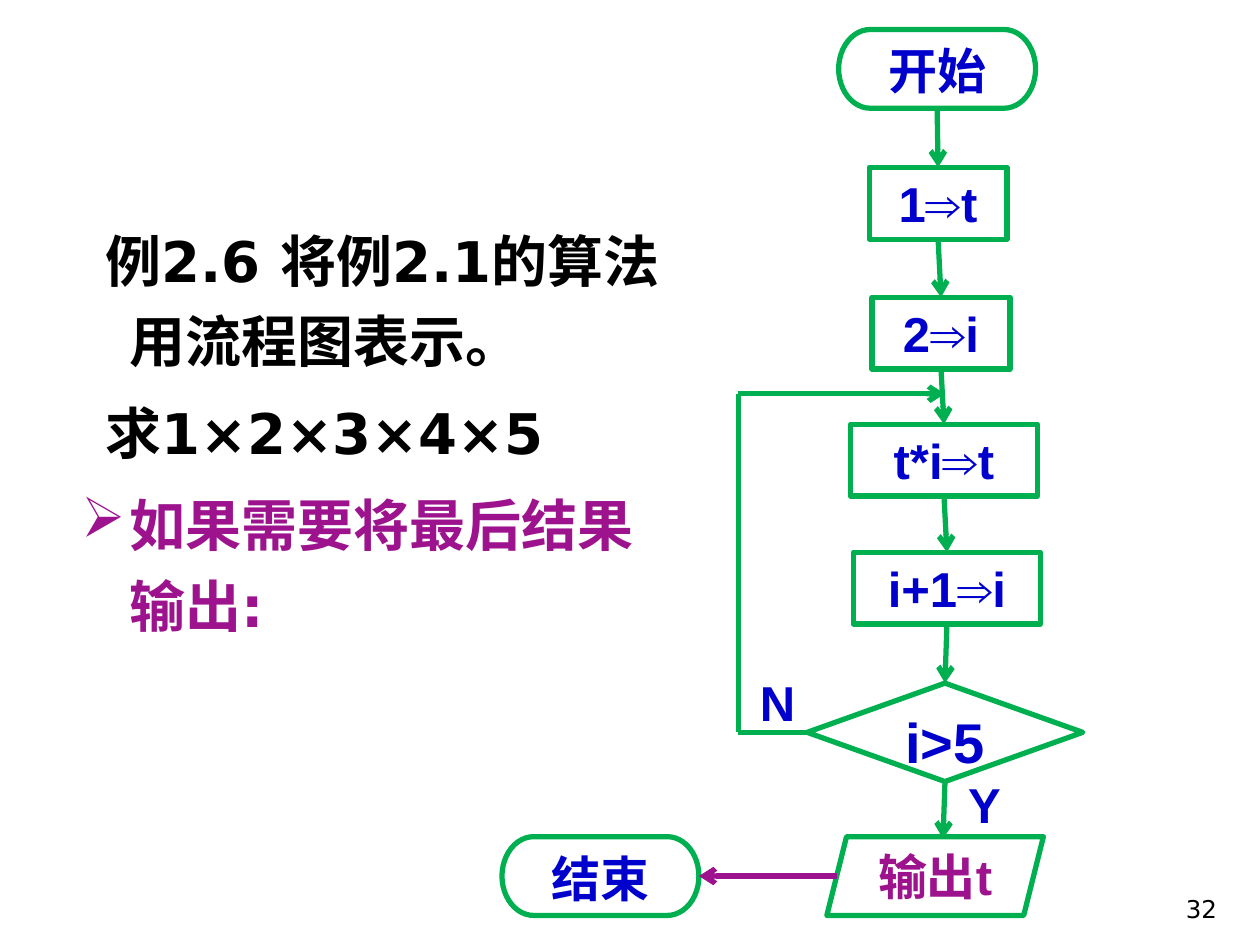
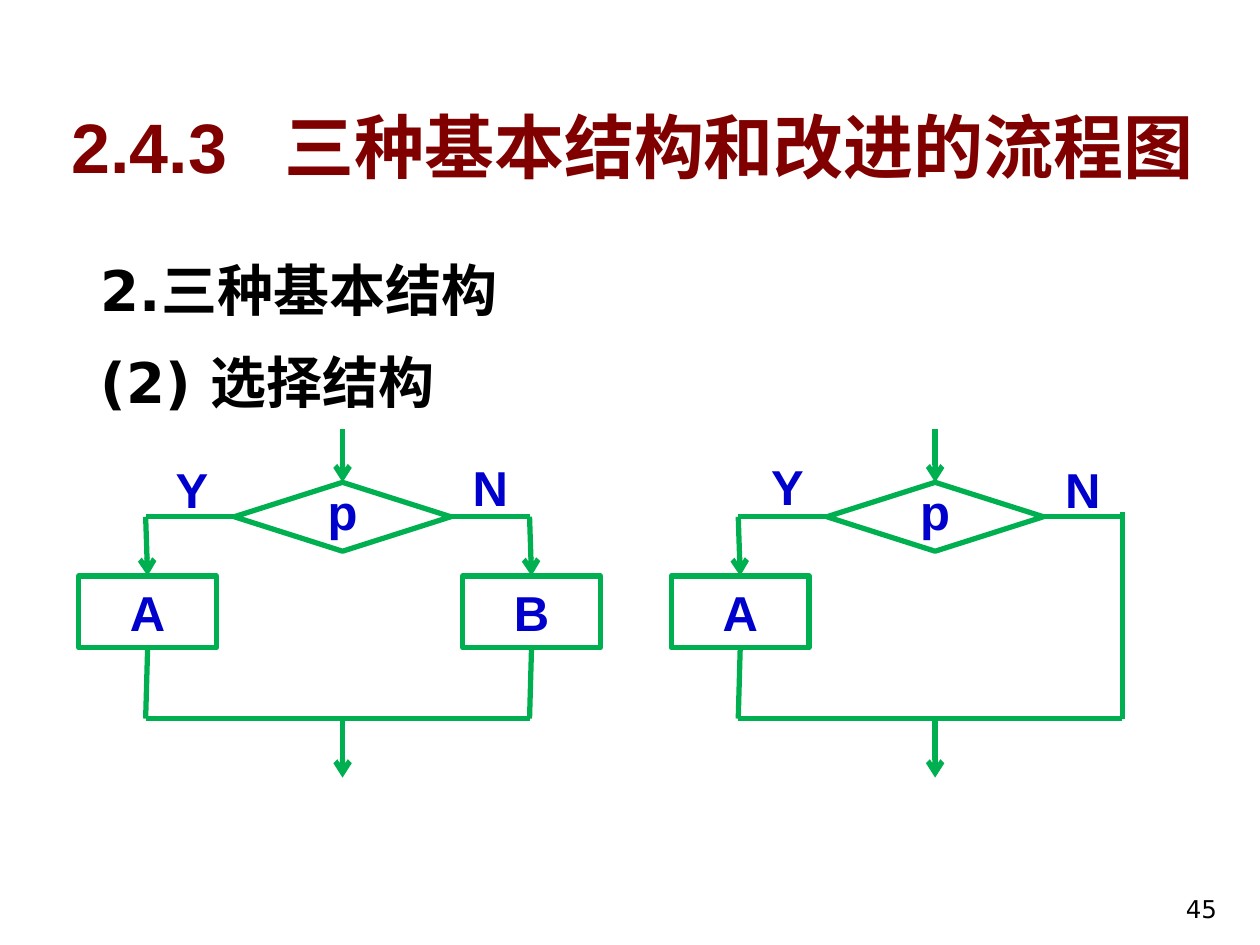
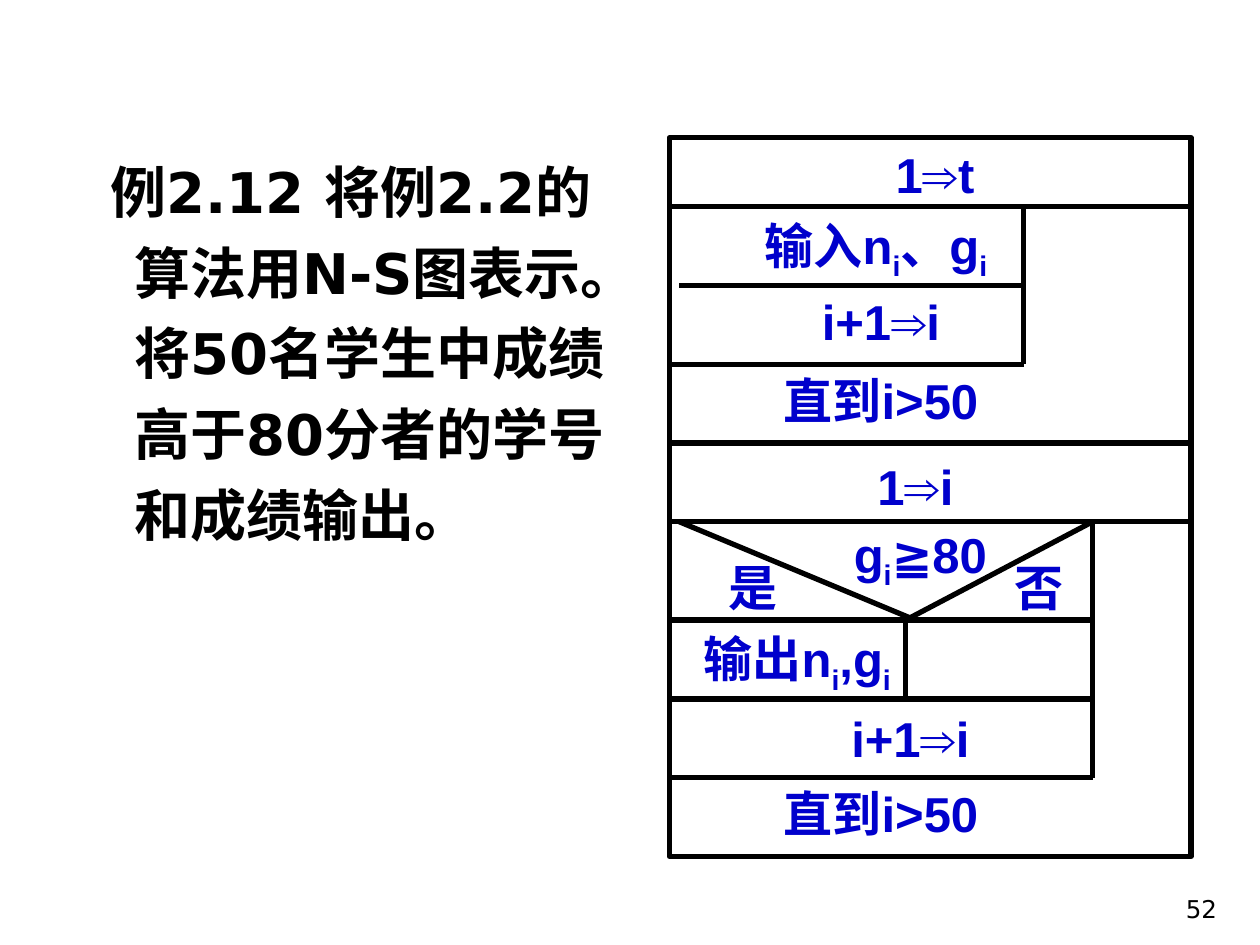
"""Build three slides on flowcharts, basic structures and N-S diagrams."""
from typing import NamedTuple, Optional

from lxml.etree import SubElement
from pptx import Presentation
from pptx.dml.color import RGBColor
from pptx.enum.shapes import MSO_CONNECTOR, MSO_SHAPE
from pptx.enum.text import MSO_ANCHOR, PP_ALIGN
from pptx.oxml import parse_xml
from pptx.oxml.ns import nsdecls, qn
from pptx.util import Inches, Pt

CELL = 10 / 128
GREEN, BLUE, PURPLE, MAROON = "00B050", "0000CC", "9D138D", "800000"
BLACK, WHITE = "000000", "FFFFFF"
LABEL = {"size": Pt(28), "bold": True, "name": "Arial"}
CONDITION = {**LABEL, "size": Pt(32)}
TITLE = {**LABEL, "size": Pt(40)}
BODY = {"size": Pt(32), "bold": True, "name": "DejaVu Sans"}
FOOTER = {"size": Pt(14), "bold": False, "name": "DejaVu Sans"}
NO_INSETS = {"margin_left": 0, "margin_top": 0, "margin_right": 0, "margin_bottom": 0}
TOP, LEFT, BOTTOM, RIGHT = range(4)
ROW = 7.3


class Area(NamedTuple):
    """A rectangle in grid columns and rows."""
    left: float
    top: float
    width: float
    height: float = ROW


class Node(NamedTuple):
    """A flowchart symbol with its text."""
    kind: MSO_SHAPE
    area: Area
    text: str = ""
    color: str = BLUE
    font: dict = LABEL


class Segment(NamedTuple):
    """A straight line between two grid points."""
    x1: float
    y1: float
    x2: float
    y2: float
    arrow: bool = False
    color: str = GREEN


class Label(NamedTuple):
    """A centred caption."""
    text: str
    left: float
    top: float
    width: float


class BodyLine(NamedTuple):
    """A body paragraph with its first-line indent in inches."""
    text: str
    indent: float = -0.38
    color: str = BLACK
    bullet: Optional[str] = None


class Branch(NamedTuple):
    """A selection structure placed at a column offset."""
    offset: float
    yes: tuple
    no: tuple
    second_box: bool


def rgb(color: str) -> RGBColor:
    """Turn a hex string into a colour."""
    return RGBColor.from_string(color)


def grid(*cells: float) -> list:
    """Turn grid cells into lengths."""
    return [Inches(cell * CELL) for cell in cells]


def assign(target, values: dict) -> None:
    """Set every named attribute of the target."""
    for name, value in values.items():
        setattr(target, name, value)


def add_run(paragraph, text: str, font: dict, color: str, subscript: bool = False):
    """Append a formatted run."""
    run = paragraph.add_run()
    run.text = text
    assign(run.font, font)
    run.font.color.rgb = rgb(color)
    if subscript:
        run._r.get_or_add_rPr().set("baseline", "-25000")
    return run


def write(paragraph, text: str, font: dict, color: str) -> None:
    """Write text in which an underscore lowers the next character."""
    first, *others = text.split("_")
    add_run(paragraph, first, font, color)
    for part in others:
        add_run(paragraph, part[0], font, color, subscript=True)
        if part[1:]:
            add_run(paragraph, part[1:], font, color)


def add_text(slide, area: Area):
    """Add a wrapping text box and return its frame."""
    frame = slide.shapes.add_textbox(*grid(*area)).text_frame
    frame.word_wrap = True
    return frame


def add_label(slide, label: Label) -> None:
    """Add a centred blue caption."""
    paragraph = add_text(slide, Area(label.left, label.top, label.width)).paragraphs[0]
    paragraph.alignment = PP_ALIGN.CENTER
    write(paragraph, label.text, LABEL, BLUE)


def add_node(slide, node: Node, line: Optional[str] = GREEN, fill: Optional[str] = None):
    """Add a symbol with optional outline and fill."""
    shape = slide.shapes.add_shape(node.kind, *grid(*node.area))
    shape.shadow.inherit = False
    if fill:
        shape.fill.solid()
        shape.fill.fore_color.rgb = rgb(fill)
    else:
        shape.fill.background()
    if line:
        shape.line.color.rgb = rgb(line)
        shape.line.width = Pt(3)
    else:
        shape.line.fill.background()
    if node.text:
        frame = shape.text_frame
        frame.vertical_anchor = MSO_ANCHOR.TOP
        frame.word_wrap = node.kind == MSO_SHAPE.RECTANGLE
        if not frame.word_wrap:
            assign(frame, NO_INSETS)
        paragraph = frame.paragraphs[0]
        paragraph.alignment = PP_ALIGN.CENTER
        write(paragraph, node.text, node.font, node.color)
    return shape


def add_segment(slide, segment: Segment, begin=None, end=None) -> None:
    """Add a line, joined to (shape, side) pairs where given."""
    points = grid(segment.x1, segment.y1, segment.x2, segment.y2)
    connector = slide.shapes.add_connector(MSO_CONNECTOR.STRAIGHT, *points)
    connector.line.color.rgb = rgb(segment.color)
    connector.line.width = Pt(3)
    if segment.arrow:
        SubElement(connector.line._get_or_add_ln(), qn("a:tailEnd"), type="arrow")
    SubElement(connector._element.spPr, qn("a:effectLst"))
    if begin:
        connector.begin_connect(*begin)
    if end:
        connector.end_connect(*end)


def add_body(slide, area: Area, lines: list) -> None:
    """Add body paragraphs with a hanging indent."""
    frame = add_text(slide, area)
    for index, line in enumerate(lines):
        paragraph = frame.add_paragraph() if index else frame.paragraphs[0]
        properties = paragraph._p.get_or_add_pPr()
        properties.set("marL", str(Inches(0.38)))
        properties.set("indent", str(Inches(line.indent)))
        if line.bullet:
            SubElement(properties, qn("a:buChar"), char=line.bullet)
        paragraph.line_spacing = 1.2
        paragraph.space_before = Pt(6.4 if index else 0)
        write(paragraph, line.text, BODY, line.color)


def add_title(slide, number: str, text: str) -> None:
    """Add a shadowed title whose text follows a tab."""
    frame = add_text(slide, Area(6, 7.5, 118, 14.5))
    assign(frame, {"vertical_anchor": MSO_ANCHOR.MIDDLE, "margin_right": 0})
    paragraph = frame.paragraphs[0]
    tabs = SubElement(paragraph._p.get_or_add_pPr(), qn("a:tabLst"))
    SubElement(tabs, qn("a:tab"), pos=str(Inches(1.69)), algn="l")
    run = add_run(paragraph, f"{number}\t{text}", TITLE, MAROON)
    shadow = parse_xml(
        f'<a:effectLst {nsdecls("a")}><a:outerShdw dist="38100" dir="2700000">'
        '<a:srgbClr val="C0C0C0"/></a:outerShdw></a:effectLst>')
    run._r.get_or_add_rPr().find(qn("a:latin")).addprevious(shadow)


def add_slide(presentation, number: int):
    """Add a blank slide with its page number."""
    slide = presentation.slides.add_slide(presentation.slide_layouts[6])
    frame = add_text(slide, Area(98.3, 88, 26.6, 6.4))
    frame.vertical_anchor = MSO_ANCHOR.BOTTOM
    paragraph = frame.paragraphs[0]
    paragraph.alignment = PP_ALIGN.RIGHT
    write(paragraph, str(number), FOOTER, BLACK)
    return slide


def build_flowchart(presentation) -> None:
    """Build the factorial flowchart."""
    slide = add_slide(presentation, 32)
    add_body(slide, Area(7, 21, 61.5, 50), [
        BodyLine("例2.6 将例2.1的算法用流程图表示。", -0.19),
        BodyLine("求1×2×3×4×5", -0.19),
        BodyLine("如果需要将最后结果输出:", color=PURPLE, bullet="➢"),
    ])
    rectangle, terminator = MSO_SHAPE.RECTANGLE, MSO_SHAPE.FLOWCHART_TERMINATOR
    steps = [
        Node(terminator, Area(85.2, 3, 20, 8), "开始"),
        Node(rectangle, Area(88.3, 17, 14), "1⇒t"),
        Node(rectangle, Area(88.6, 30.2, 14), "2⇒i"),
        Node(rectangle, Area(86.4, 43.1, 19), "t*i⇒t"),
        Node(rectangle, Area(86.7, 56.1, 19), "i+1⇒i"),
        Node(MSO_SHAPE.FLOWCHART_DECISION, Area(82, 69.4, 28, 10), "i>5", font=CONDITION),
    ]
    shapes = [add_node(slide, step) for step in steps]
    for upper, lower in zip(shapes, shapes[1:]):
        add_segment(slide, Segment(0, 0, 0, 0, True), (upper, BOTTOM), (lower, TOP))
    decision = shapes[-1]
    add_node(slide, Node(MSO_SHAPE.PARALLELOGRAM, Area(84, 85, 22, 8), "输出t", PURPLE), fill=WHITE)
    finish = add_node(slide, Node(terminator, Area(51, 85, 20, 8), "结束"), fill=WHITE)
    add_segment(slide, Segment(96, 79.4, 95.8, 85.2, True), (decision, BOTTOM))
    add_segment(slide, Segment(82, 74.4, 75, 74.4), (decision, LEFT))
    add_segment(slide, Segment(75, 74.4, 75, 40))
    add_segment(slide, Segment(75, 40, 96, 40, True))
    add_segment(slide, Segment(85, 89, 71, 89, True, PURPLE), end=(finish, RIGHT))
    add_label(slide, Label("N", 75, 67.7, 8))
    add_label(slide, Label("Y", 96, 78, 8))


def add_branch(slide, branch: Branch) -> None:
    """Draw a selection structure with one or two boxes."""
    x = branch.offset
    left, middle, right = x + 14.8, x + 34.8, x + 53.8
    box_top, split, merge = 58.5, 52.5, 73
    decision = add_node(slide, Node(MSO_SHAPE.FLOWCHART_DECISION, Area(middle - 11, 49, 22, 7)), fill=WHITE)
    add_segment(slide, Segment(middle, 43.6, middle, 49, True), end=(decision, TOP))
    add_segment(slide, Segment(middle, merge, middle, 79, True))
    add_segment(slide, Segment(right, merge, left, merge))
    for corner, side in ((left, LEFT), (right, RIGHT)):
        add_segment(slide, Segment(middle, split, corner, split), (decision, side))
    boxes = [("A", x + 8, left)]
    if branch.second_box:
        boxes.append(("B", x + 47, right))
    else:
        add_segment(slide, Segment(right, merge, right, 52))
    for text, box_left, corner in boxes:
        box = add_node(slide, Node(MSO_SHAPE.RECTANGLE, Area(box_left, box_top, 14), text))
        add_segment(slide, Segment(corner, split, corner, box_top, True), end=(box, TOP))
        add_segment(slide, Segment(corner, 66, corner, merge), (box, BOTTOM))
    add_label(slide, Label("p", middle - 4, 48.3, 8))
    add_label(slide, Label("Y", *branch.yes, 10))
    add_label(slide, Label("N", *branch.no, 10))


def build_selection(presentation) -> None:
    """Build the slide on the selection structure."""
    slide = add_slide(presentation, 45)
    add_title(slide, "2.4.3", "三种基本结构和改进的流程图")
    add_body(slide, Area(9, 24, 109, 21), [BodyLine("2.三种基本结构"), BodyLine("(2) 选择结构")])
    add_branch(slide, Branch(0, (14.5, 46), (44.8, 45.8), True))
    add_branch(slide, Branch(60.2, (75, 45.7), (105, 46), False))


def build_ns_diagram(presentation) -> None:
    """Build the N-S diagram of the grades example."""
    slide = add_slide(presentation, 52)
    add_body(slide, Area(7.5, 14, 58.5, 71.7), [
        BodyLine("例2.12 将例2.2的算法用N-S图表示。将50名学生中成绩高于80分者的学号和成绩输出。", -0.19)])
    left, right, first_loop, second_loop, split = 68, 121, 104, 111, 92
    add_node(slide, Node(MSO_SHAPE.FLOWCHART_PROCESS, Area(left, 14, right - left, 73)), BLACK)
    rows = [(21, right), (37, first_loop), (45, right), (53, right),
            (63, second_loop), (71, second_loop), (79, second_loop)]
    lines = [(left, row, end, row) for row, end in rows] + [
        (left + 1, 29, first_loop, 29),
        (first_loop, 21, first_loop, 37),
        (second_loop, 53, second_loop, 79),
        (second_loop, 53, split, 63),
        (left + 1, 53, split + 1, 63),
        (split, 63, split, 71),
    ]
    for line in lines:
        add_segment(slide, Segment(*line, color=BLACK))
    for text, area in (("输入n_i、g_i", Area(73, 21, 32, 8)), ("输出n_i,g_i", Area(66, 63, 30, 8))):
        add_node(slide, Node(MSO_SHAPE.PARALLELOGRAM, area, text), None)
    for label in (
        Label("1⇒t", 88, 14, 14),
        Label("i+1⇒i", 80, 29, 19),
        Label("直到i>50", 76, 37, 27),
        Label("1⇒i", 86, 45.7, 14),
        Label("g_i≧80", 84, 52.6, 19),
        Label("是", 71, 56, 11),
        Label("否", 100, 56, 11),
        Label("i+1⇒i", 83, 71.3, 19),
        Label("直到i>50", 76, 79, 27),
    ):
        add_label(slide, label)


def main() -> None:
    """Build and save the presentation."""
    presentation = Presentation()
    assign(presentation, {"slide_width": Inches(10), "slide_height": Inches(7.5)})
    for build in (build_flowchart, build_selection, build_ns_diagram):
        build(presentation)
    presentation.save("out.pptx")


if __name__ == "__main__":
    main()
